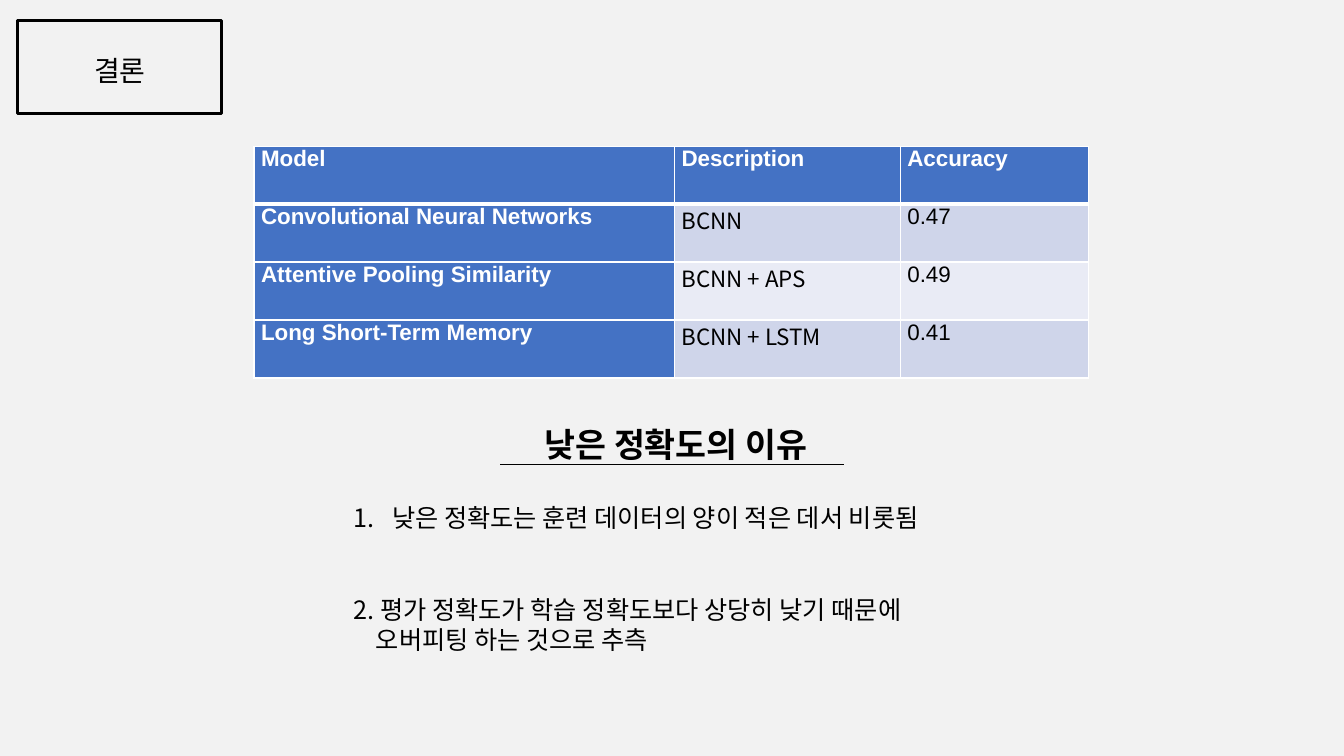
"""Build the conclusion slide: model accuracy table and reasons for low accuracy."""
from lxml import etree
from pptx import Presentation
from pptx.dml.color import RGBColor
from pptx.enum.shapes import MSO_CONNECTOR as CONN, MSO_SHAPE as SHAPE
from pptx.enum.text import PP_ALIGN as ALIGN
from pptx.oxml.ns import qn
from pptx.util import Inches, Pt

KOREAN, LATIN = "Noto Sans CJK KR", "Arial"
BLACK, WHITE, BLUE = "000000", "FFFFFF", "4472C4"
BANDS = ["CFD5EA", "E9EBF5"]

LABEL = "결론"
ROWS = [
    ("Model", "Description", "Accuracy"),
    ("Convolutional Neural Networks", "BCNN", "0.47"),
    ("Attentive Pooling Similarity", "BCNN + APS", "0.49"),
    ("Long Short-Term Memory", "BCNN + LSTM", "0.41"),
]
COL_WIDTHS = [4.17, 2.24, 1.87]
TABLE_LEFT, TABLE_TOP, TABLE_HEIGHT = 2.52, 1.45, 2.3
TITLE = " 낮은 정확도의 이유"
REASON_1 = "낮은 정확도는 훈련 데이터의 양이 적은 데서 비롯됨"
REASON_2 = "2. 평가 정확도가 학습 정확도보다 상당히 낮기 때문에"
REASON_2_MORE = "오버피팅 하는 것으로 추측"


def rgb(color):
    return RGBColor.from_string(color)


def add_run(p, text, size, font, color=BLACK, bold=False):
    r = p.add_run()
    r.text = text
    r.font.size, r.font.name, r.font.bold = Pt(size), font, bold
    r.font.color.rgb = rgb(color)
    etree.SubElement(r.font._element, qn("a:ea"), typeface=font)


def add_box(slide, left, top, width, height):
    tf = slide.shapes.add_textbox(*map(Inches, (left, top, width, height))).text_frame
    tf.word_wrap = True
    tf.margin_top = Inches(0.08)
    return tf


def add_line(p, text, size, align=ALIGN.LEFT, bold=False, before=0, left=0, hanging=0):
    p.alignment = align
    p.line_spacing = Pt(round(size * 1.21, 1))
    p.space_before = Pt(before)
    pPr = p._p.get_or_add_pPr()
    pPr.set("marL", str(Inches(left)))
    pPr.set("indent", str(-Inches(hanging)))
    add_run(p, text, size, KOREAN, bold=bold)


def set_borders(cell, bottom):
    tcPr = cell._tc.get_or_add_tcPr()
    for i, (side, width) in enumerate(zip("LRTB", (1, 1, 1, bottom))):
        ln = etree.Element(qn(f"a:ln{side}"), w=str(Pt(width)))
        fill = etree.SubElement(ln, qn("a:solidFill"))
        etree.SubElement(fill, qn("a:srgbClr"), val=WHITE)
        tcPr.insert(i, ln)


def add_accuracy_table(slide):
    table = slide.shapes.add_table(
        len(ROWS), len(COL_WIDTHS), Inches(TABLE_LEFT), Inches(TABLE_TOP),
        Inches(sum(COL_WIDTHS)), Inches(TABLE_HEIGHT)).table
    for col, width in zip(table.columns, COL_WIDTHS):
        col.width = Inches(width)
    for i, row in enumerate(ROWS):
        for j, text in enumerate(row):
            cell = table.cell(i, j)
            head = i == 0 or j == 0
            cell.margin_left = cell.margin_right = Inches(0.07)
            cell.margin_top = cell.margin_bottom = 0
            cell.fill.solid()
            cell.fill.fore_color.rgb = rgb(BLUE if head else BANDS[(i - 1) % 2])
            set_borders(cell, 3 if i == 0 else 1)
            p = cell.text_frame.paragraphs[0]
            p.alignment = ALIGN.JUSTIFY
            font = KOREAN if j == 1 and not head else LATIN
            add_run(p, text, 16, font, WHITE if head else BLACK, head)


def add_label(slide):
    tf = add_box(slide, 0.23, 0.45, 1.92, 0.44)
    add_line(tf.paragraphs[0], LABEL, 20, ALIGN.CENTER)
    frame = slide.shapes.add_shape(SHAPE.RECTANGLE, *map(Inches, (0.17, 0.2, 2.03, 0.93)))
    frame.shadow.inherit = False
    frame.fill.background()
    frame.line.color.rgb = rgb(BLACK)
    frame.line.width = Pt(2)


def add_reasons(slide):
    tf = add_box(slide, 3.41, 4.12, 6.51, 3.03)
    add_line(tf.paragraphs[0], TITLE, 24, ALIGN.CENTER, bold=True)
    p = tf.add_paragraph()
    add_line(p, REASON_1, 18, before=27, left=0.38, hanging=0.38)
    pPr = p._p.get_or_add_pPr()
    etree.SubElement(pPr, qn("a:buFont"), typeface=KOREAN)
    etree.SubElement(pPr, qn("a:buAutoNum"), type="arabicPeriod")
    add_line(tf.add_paragraph(), REASON_2, 18, before=44)
    add_line(tf.add_paragraph(), REASON_2_MORE, 18, left=0.22)

    rule = slide.shapes.add_connector(
        CONN.STRAIGHT, *map(Inches, (4.96, 4.61, 8.37, 4.61)))
    rule.line.color.rgb = rgb(BLACK)
    rule.line.width = Pt(0.5)
    etree.SubElement(rule._element.spPr, qn("a:effectLst"))


def main():
    prs = Presentation()
    prs.slide_width, prs.slide_height = Inches(13.33), Inches(7.5)
    slide = prs.slides.add_slide(prs.slide_layouts[6])
    slide.background.fill.solid()
    slide.background.fill.fore_color.rgb = rgb("F2F2F2")
    add_label(slide)
    add_accuracy_table(slide)
    add_reasons(slide)
    prs.save("out.pptx")


if __name__ == "__main__":
    main()
